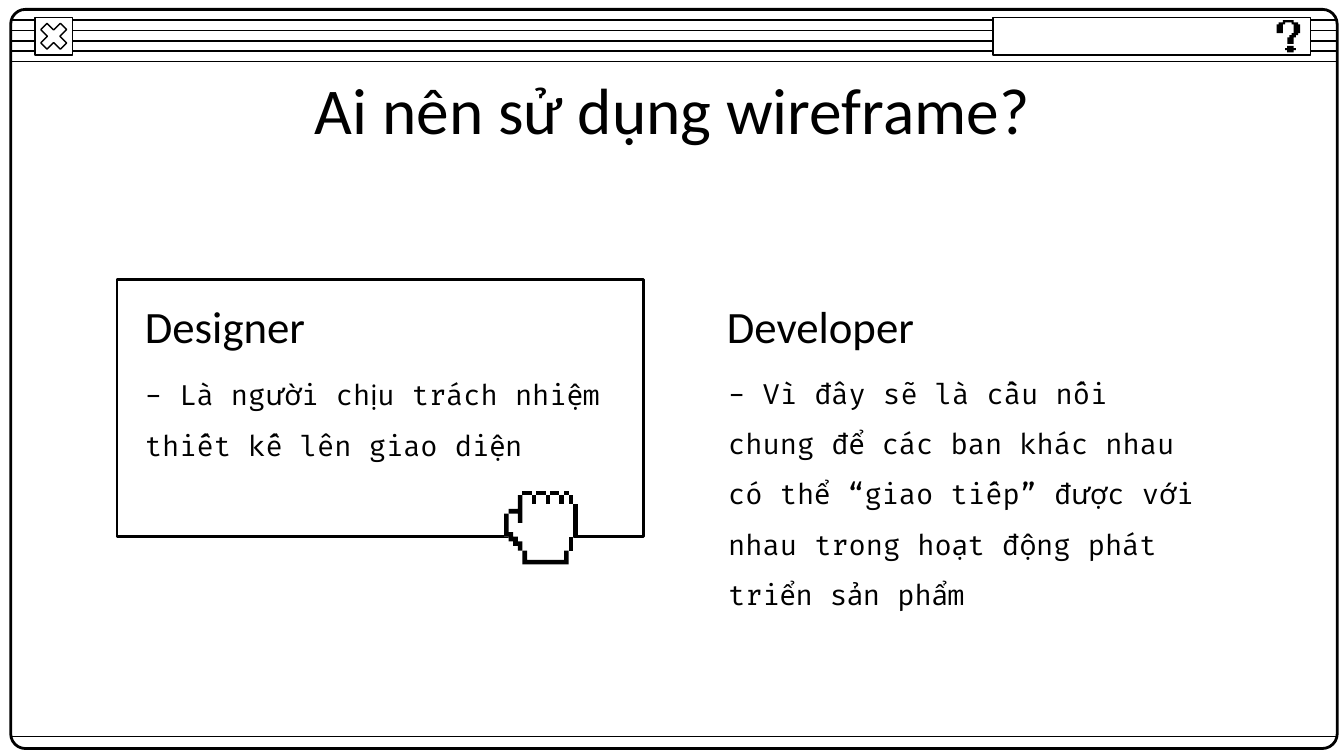
from dataclasses import dataclass

import lxml.etree
import pptx
import pptx.dml.color
import pptx.enum.shapes
import pptx.enum.text
import pptx.oxml.ns
import pptx.util

BLACK = pptx.dml.color.RGBColor(0, 0, 0)
WHITE = pptx.dml.color.RGBColor(255, 255, 255)
CELL = pptx.util.Inches(0.1)  # the slide is a grid of 100 columns by 56.25 rows
COLS, ROWS = 100, 56.25
SHAPE = pptx.enum.shapes.MSO_SHAPE
ALIGN = pptx.enum.text.PP_ALIGN


@dataclass
class Box:
    """A place on the grid, in columns and rows."""
    col: float
    row: float
    cols: float
    rows: float

    def emu(self) -> list[int]:
        return [round(v * CELL) for v in (self.col, self.row, self.cols, self.rows)]


@dataclass
class Style:
    font: str
    size: float
    spacing: float = 1.0
    align: int = ALIGN.LEFT


@dataclass
class Role:
    name: str
    text: str
    col: float
    body_col: float
    body_row: float


@dataclass
class PixelArt:
    """Outlines counted in square pixels from the top left corner."""
    col: float
    row: float
    pixel: float


TITLE = Style("Calibri", 35, align=ALIGN.CENTER)
HEADING = Style("Calibri", 24)
BODY = Style("Fira Code", 15, spacing=1.5)

ROLES = [
    Role("Designer", "- Là người chịu trách nhiệm thiết kế lên giao diện", 9.8, 9.8, 26.7),
    Role("Developer", "- Vì đây sẽ là cầu nối chung để các ban khác nhau có thể “giao tiếp” "
         "được với nhau trong hoạt động phát triển sản phẩm", 53.1, 53.2, 32.2),
]

# Question mark: dot and hook
QUESTION = PixelArt(94.98, 1.5, 0.16)
QUESTION_PARTS = [
    [(5, 12), (5, 13), (4, 13), (4, 14), (5, 14), (5, 15), (8, 15), (8, 14), (9, 14),
     (9, 13), (8, 13), (8, 12)],
    [(3, 0), (3, 1), (1, 1), (1, 2), (0, 2), (0, 6), (3, 6), (3, 2), (4, 2), (4, 1),
     (7, 1), (7, 2), (8, 2), (8, 6), (7, 6), (7, 7), (6, 7), (6, 8), (5, 8), (5, 11),
     (8, 11), (8, 8), (9, 8), (9, 7), (10, 7), (10, 6), (11, 6), (11, 2), (10, 2),
     (10, 1), (8, 1), (8, 0)],
]

# Grabbing hand: white fill, black bars (x, y, width, height) and bent edges
HAND = PixelArt(37.5, 36.5, 5.5 / 16)
HAND_FILL = [
    (4, 0), (4, 1), (3, 1), (3, 4), (1, 4), (1, 5), (0, 5), (0, 10), (1, 10), (1, 11),
    (2, 11), (2, 12), (3, 12), (3, 13), (4, 13), (4, 16), (14, 16), (14, 13), (15, 13),
    (15, 10), (16, 10), (16, 3), (15, 3), (15, 1), (14, 1), (14, 0), (13, 0), (13, 1),
    (12, 1), (12, 0), (10, 0), (10, 1), (9, 1), (9, 0), (7, 0), (7, 1), (6, 1), (6, 0)]
HAND_BARS = [(14, 1, 1, 2), (12, 1, 1, 2), (9, 1, 1, 2), (15, 3, 1, 7), (14, 10, 1, 3),
             (6, 1, 1, 2), (4, 0, 2, 1), (7, 0, 2, 1), (10, 0, 2, 1), (13, 0, 1, 1)]
HAND_EDGES = [
    [(4, 13), (4, 16), (14, 16), (14, 13), (13, 13), (13, 15), (5, 15), (5, 13)],
    [(3, 1), (3, 4), (1, 4), (1, 5), (3, 5), (3, 7), (4, 7), (4, 1)],
    [(0, 5), (0, 10), (1, 10), (1, 11), (2, 11), (2, 12), (3, 12), (3, 13), (4, 13),
     (4, 11), (3, 11), (3, 10), (2, 10), (2, 9), (1, 9), (1, 5)],
]


def add_line(s, row: float) -> None:
    """Draw a full-width rule across the window."""
    x1, y, width, _ = Box(0.8, row, 98.7, 0).emu()
    c = s.shapes.add_connector(pptx.enum.shapes.MSO_CONNECTOR.STRAIGHT, x1, y, x1 + width, y)
    c.line.color.rgb = BLACK
    c.line.width = pptx.util.Pt(0.75)
    lxml.etree.SubElement(c.element.spPr, pptx.oxml.ns.qn("a:effectLst"))


def add_frame(s, kind: int, box: Box, width: float, filled: bool = True,
              adj: float | None = None) -> None:
    sp = s.shapes.add_shape(kind, *box.emu())
    sp.shadow.inherit = False
    if filled:
        sp.fill.solid()
        sp.fill.fore_color.rgb = WHITE
    else:
        sp.fill.background()
    sp.line.color.rgb = BLACK
    sp.line.width = pptx.util.Pt(width)
    if adj is not None:
        sp.adjustments[0] = adj


def add_outline(s, art: PixelArt, points: list[tuple[int, int]],
                color: pptx.dml.color.RGBColor = BLACK) -> None:
    builder = s.shapes.build_freeform(*points[0], scale=art.pixel * CELL)
    builder.add_line_segments(points[1:], close=True)
    sp = builder.convert_to_shape(round(art.col * CELL), round(art.row * CELL))
    sp.shadow.inherit = False
    sp.fill.solid()
    sp.fill.fore_color.rgb = color
    sp.line.fill.background()


def bar(x: int, y: int, w: int, h: int) -> list[tuple[int, int]]:
    return [(x, y), (x, y + h), (x + w, y + h), (x + w, y)]


def write(sp, box: Box, text: str, style: Style) -> None:
    sp.left, sp.top, sp.width, sp.height = box.emu()
    tf = sp.text_frame
    frame_format = {"word_wrap": True, "auto_size": pptx.enum.text.MSO_AUTO_SIZE.NONE,
                    "vertical_anchor": pptx.enum.text.MSO_ANCHOR.MIDDLE}
    frame_format |= {f"margin_{side}": CELL for side in ("left", "top", "right", "bottom")}
    for name, value in frame_format.items():
        setattr(tf, name, value)
    p = tf.paragraphs[0]
    p.alignment, p.line_spacing = style.align, style.spacing
    r = p.add_run()
    r.text = text
    for name, value in {"name": style.font, "size": pptx.util.Pt(style.size)}.items():
        setattr(r.font, name, value)
    r.font.color.rgb = BLACK


def add_text(s, box: Box, text: str, style: Style) -> None:
    write(s.shapes.add_textbox(*box.emu()), box, text, style)


def main() -> None:
    prs = pptx.Presentation()
    prs.slide_width, prs.slide_height = round(COLS * CELL), round(ROWS * CELL)
    s = prs.slides.add_slide(prs.slide_layouts[5])
    s.background.fill.solid()
    s.background.fill.fore_color.rgb = WHITE

    # Window with its title bar
    for i in range(5):
        add_line(s, 1.5 + 0.77 * i)
    add_frame(s, SHAPE.ROUNDED_RECTANGLE, Box(0.8, 0.7, 98.7, 55), 1.5, False, 0.02)
    close_button = Box(2.6, 1.3, 2.8, 2.8)
    add_frame(s, SHAPE.RECTANGLE, close_button, 0.75)
    add_frame(s, SHAPE.MATH_MULTIPLY, close_button, 0.75, adj=0.235)
    add_line(s, 54.8)
    add_frame(s, SHAPE.RECTANGLE, Box(73.9, 1.3, 23.6, 2.8), 0.75)
    for part in QUESTION_PARTS:
        add_outline(s, QUESTION, part)

    # Title and the two roles
    add_frame(s, SHAPE.RECTANGLE, Box(8.7, 20.8, 39.2, 19.1), 1.5, False)
    write(s.shapes.title, Box(7.9, 4.9, 84.3, 6.3), "Ai nên sử dụng wireframe?", TITLE)
    for role in ROLES:
        add_text(s, Box(role.col, 21.8, 37.1, 4.9), role.name, HEADING)
        add_text(s, Box(role.body_col, role.body_row, 37.1, 7.8), role.text, BODY)

    # Hand dragging the first role
    add_outline(s, HAND, HAND_FILL, WHITE)
    for edge in [bar(*b) for b in HAND_BARS] + HAND_EDGES:
        add_outline(s, HAND, edge)

    prs.save("out.pptx")


if __name__ == "__main__":
    main()
